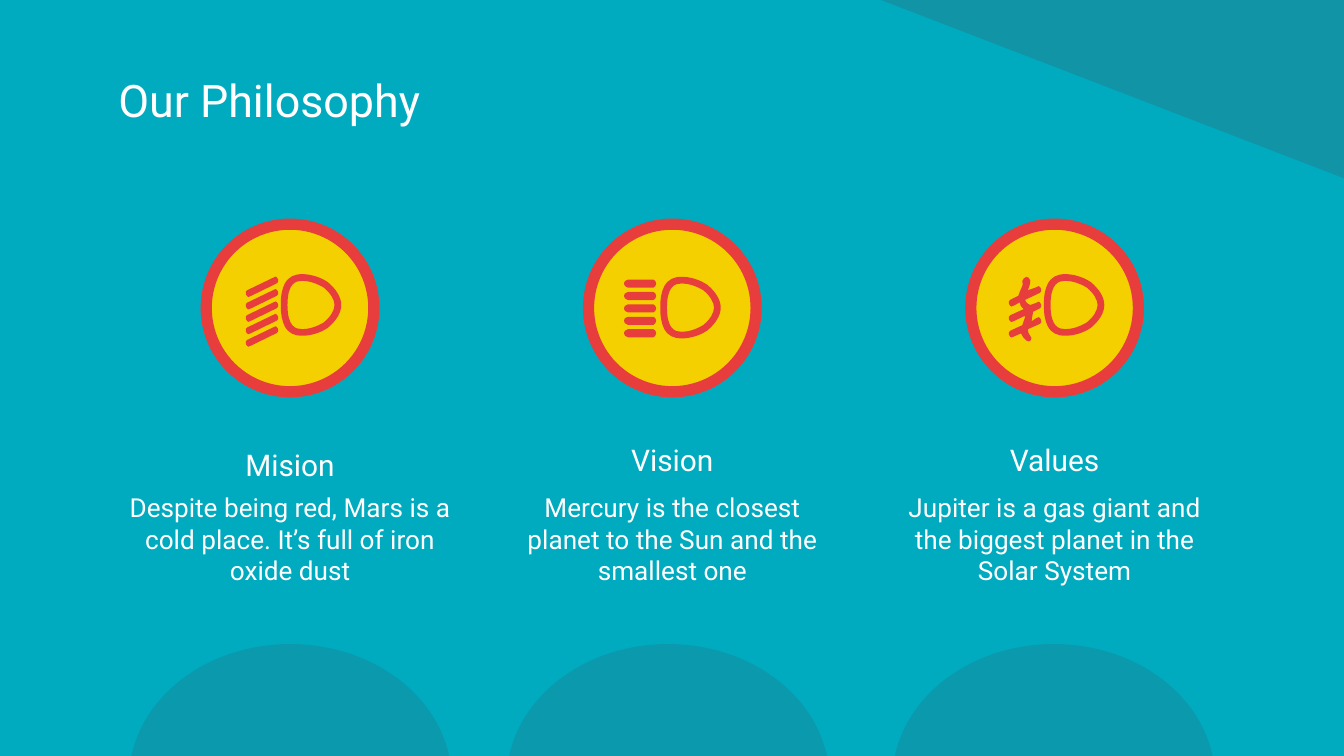
from lxml import etree
from pptx import Presentation
from pptx.dml.color import RGBColor
from pptx.enum.shapes import MSO_SHAPE
from pptx.enum.text import MSO_ANCHOR, MSO_AUTO_SIZE, PP_ALIGN
from pptx.oxml.ns import qn
from pptx.util import Pt

OVAL, TRIANGLE = MSO_SHAPE.OVAL, MSO_SHAPE.RIGHT_TRIANGLE
LEFT, CENTER = PP_ALIGN.LEFT, PP_ALIGN.CENTER
TOP, MIDDLE = MSO_ANCHOR.TOP, MSO_ANCHOR.MIDDLE
NO_FIT = MSO_AUTO_SIZE.NONE

FONT = "Roboto"
TEAL, SLATE, YELLOW, RED, WHITE = "00ABBF", "336574", "F4D000", "E83D3D", "FFFFFF"
FIRST_X, STEP_X, ICON_Y, ICON_SIZE = 155.4, 204.8, 165, 89.8
UNITS = 100  # freeform units per point

COLUMNS = [
    ("Mision", 1.15, "Despite being red, Mars is a cold place. It’s full of iron oxide dust"),
    ("Vision", 1, "Mercury is the closest planet to the Sun and the smallest one"),
    ("Values", 1, "Jupiter is a gas giant and the biggest planet in the Solar System"),
]

# Contours are lists of segments: two numbers for a line, six for a Bezier curve.
# The first segment is the starting point. Icon parts are relative to its centre.
LENS_OUTER = [
    (11.5, 0), (7.2, 0, 4.3, 1.4, 2.2, 5), (0.7, 7.9, 0, 11.5, 0, 16.5),
    (0, 21.6, 0.7, 25.2, 2.2, 28.1), (4.3, 31.7, 7.2, 33, 11.5, 33),
    (15.8, 33, 20.9, 31.7, 25.2, 28.8), (29.5, 25.2, 32.4, 20.9, 32.4, 16.5),
    (32.4, 12.2, 29.5, 7.9, 25.2, 4.3), (20.9, 1.4, 15.8, 0, 11.5, 0)]
LENS_INNER = [
    (11.5, 3.6), (15.1, 3.6, 19.4, 5, 23, 7.2), (26.6, 10.1, 28.8, 13.7, 28.8, 16.5),
    (28.8, 19.4, 26.6, 23, 23, 25.9), (19.4, 28.1, 15.1, 29.5, 11.5, 29.5),
    (7.9, 29.5, 3.6, 28.1, 3.6, 16.5), (3.6, 5, 7.9, 3.6, 11.5, 3.6)]
FLAT_BEAM = [
    (-23.8, -15.2), (-25.2, -15.2, -25.9, -13.8, -25.9, -13.1),
    (-25.9, -12.4, -25.2, -10.9, -23.8, -10.9), (-10.1, -10.9),
    (-9.4, -10.9, -8.6, -12.4, -8.6, -13.1), (-8.6, -13.8, -9.4, -15.2, -10.1, -15.2)]
LEFT_CAP = [
    (-23.8, -4.4), (-24.5, -4.4, -24.8, -3, -24.5, -2.3),
    (-24.2, -1.4, -23.5, -0.8, -23.1, -0.8), (-22.3, -0.8, -22.3, -1.2, -21.6, -1.4)]
RIGHT_CAP = [
    (-7.9, -8.1), (-7.2, -8.3, -6.9, -9.5, -7.2, -10.2),
    (-7.6, -11.2, -8.2, -11.7, -8.6, -11.7), (-9.4, -11.7, -9.4, -11.6, -10.1, -11)]


def shift(contour, dx, dy):
    return [tuple(v + (dy if i % 2 else dx) for i, v in enumerate(seg)) for seg in contour]


def fog_contour(step=8.3):
    """Outline three slanted beams crossed by a wave."""
    left = [shift(LEFT_CAP, 0, n * step) for n in range(3)]
    right = [shift(RIGHT_CAP, 0, n * step) for n in range(3)]
    return [
        (-15.1, -16.7), (-15.9, -16.7, -17.3, -15.2, -17.3, -14.5),
        (-16.6, -13.1, -17.3, -11.6, -18, -10.2), (-18.7, -9.5, -18.7, -8, -19.4, -6.6),
        *left[0], (-18.7, -3), (-18.7, -1.6, -18, -0.8, -16.6, 0.6),
        *left[1], (-15.9, 4.2), (-15.9, 4.9, -15.9, 5.6, -16.6, 7.1),
        (-16.6, 7.8, -17.3, 8.5, -17.3, 9.2),
        *left[2], (-18, 13.6), (-17.3, 15, -16.6, 16.4, -15.1, 17.5),
        (-14.8, 17.9, -14.4, 17.9, -13.7, 17.9), (-13.5, 17.9, -13.2, 17.9, -13, 17.6),
        (-12.2, 16.4, -12.2, 15.7, -13, 15), (-13.7, 14.3, -14.4, 12.8, -14.4, 11.4),
        *right[2], (-12.3, 7.1), (-12.3, 4.9, -11.5, 3.5, -11.5, 2),
        *right[1], (-13, -1.6), (-13.7, -1.6, -13.7, -2.3, -14.4, -2.3),
        (-15.1, -3, -15.8, -3.7, -15.8, -4.4),
        *right[0], (-14.4, -9.5), (-13.7, -10.9, -13, -13.1, -13, -14.5),
        (-13, -16, -14.4, -16.7, -15.1, -16.7)]


SLANTED_BEAM = shift(LEFT_CAP + RIGHT_CAP, 0.8, -5.1)
BEAM_STEP = 6.65
ICONS = [  # lens corner, beam contours
    ((-5, -18.1), [shift(SLANTED_BEAM, 0, n * BEAM_STEP) for n in range(5)]),
    ((-6.5, -16.7), [shift(FLAT_BEAM, 0, n * BEAM_STEP) for n in range(5)]),
    ((-5.8, -18.1), [fog_contour()]),
]


def rgb(value):
    return RGBColor.from_string(value)


def paint(s, color, alpha=None):
    """Give a shape a flat fill, with an optional opacity in percent."""
    s.shadow.inherit = False
    s.fill.solid()
    s.fill.fore_color.rgb = rgb(color)
    s.line.fill.background()
    if alpha is not None:
        clr = s.fill._xPr.find(qn("a:solidFill"))[0]
        etree.SubElement(clr, qn("a:alpha")).set("val", str(alpha * 1000))


def add_preset(shapes, kind, x, y, w, h, color, alpha=None):
    s = shapes.add_shape(kind, Pt(x), Pt(y), Pt(w), Pt(h))
    paint(s, color, alpha)
    return s


def format_text(tf, text, size, align, anchor=TOP, spacing=1):
    tf.word_wrap = True
    tf.auto_size = NO_FIT
    tf.vertical_anchor = anchor
    tf.margin_left = tf.margin_right = tf.margin_top = tf.margin_bottom = Pt(7.2)
    p = tf.paragraphs[0]
    p.alignment = align
    p.line_spacing = spacing
    r = p.add_run()
    r.text = text
    r.font.name = FONT
    r.font.size = Pt(size)
    r.font.color.rgb = rgb(WHITE)


def add_caption(shapes, cx, y, w, h, text, size, spacing=1):
    box = shapes.add_textbox(Pt(cx - w / 2), Pt(y), Pt(w), Pt(h))
    format_text(box.text_frame, text, size, CENTER, spacing=spacing)


def bend_segments(s, contours):
    """Merge each three lines that stand for a curve into one Bezier segment."""
    lines = iter(list(s._element.iter(qn("a:lnTo"))))
    for seg in (seg for contour in contours for seg in contour[1:]):
        first = next(lines)
        if len(seg) == 6:
            curve = etree.Element(qn("a:cubicBezTo"))
            first.addprevious(curve)
            for line in (first, next(lines), next(lines)):
                curve.append(line[0])
                line.getparent().remove(line)


def add_outline(shapes, contours):
    builder = None
    for contour in contours:
        flat = [v * UNITS for seg in contour for v in seg]
        pts = list(zip(flat[::2], flat[1::2]))
        if builder is None:
            builder = shapes.build_freeform(*pts[0], scale=Pt(1) / UNITS)
        else:
            builder.move_to(*pts[0])
        builder.add_line_segments(pts[1:], close=True)
    s = builder.convert_to_shape()
    bend_segments(s, contours)
    paint(s, RED)


def add_icon(shapes, cx, lens, beams):
    half = ICON_SIZE / 2
    ring = add_preset(shapes, OVAL, cx - half, ICON_Y - half, ICON_SIZE, ICON_SIZE, YELLOW)
    ring.line.color.rgb = rgb(RED)
    ring.line.width = Pt(6)
    lamp = shapes.add_group_shape().shapes
    add_outline(lamp, [shift(c, cx + lens[0], ICON_Y + lens[1])
                       for c in (LENS_OUTER, LENS_INNER)])
    for beam in beams:
        add_outline(lamp, [shift(beam, cx, ICON_Y)])


def add_title(s, text):
    title = s.shapes.title
    title.left, title.top, title.width, title.height = Pt(56.2), Pt(30.6), Pt(607.6), Pt(45.4)
    format_text(title.text_frame, text, 24, LEFT, MIDDLE)


def main():
    prs = Presentation()
    prs.slide_width, prs.slide_height = Pt(720), Pt(405)
    s = prs.slides.add_slide(prs.slide_layouts[5])
    s.background.fill.solid()
    s.background.fill.fore_color.rgb = rgb(TEAL)

    for x in (69, 271.4, 478):
        add_preset(s.shapes, OVAL, x, 345, 173, 145.5, SLATE, 23)
    add_preset(s.shapes, TRIANGLE, 472, 0, 248, 95.5, SLATE, 32).rotation = 180

    add_title(s, "Our Philosophy")
    for i, (heading, spacing, body) in enumerate(COLUMNS):
        cx = FIRST_X + i * STEP_X
        add_icon(s.shapes, cx, *ICONS[i])
        add_caption(s.shapes, cx, 229.2, 153.4, 33.8, heading, 16, spacing)
        add_caption(s.shapes, cx, 256.2, 190.8, 62, body, 14)
    prs.save("out.pptx")


if __name__ == "__main__":
    main()
